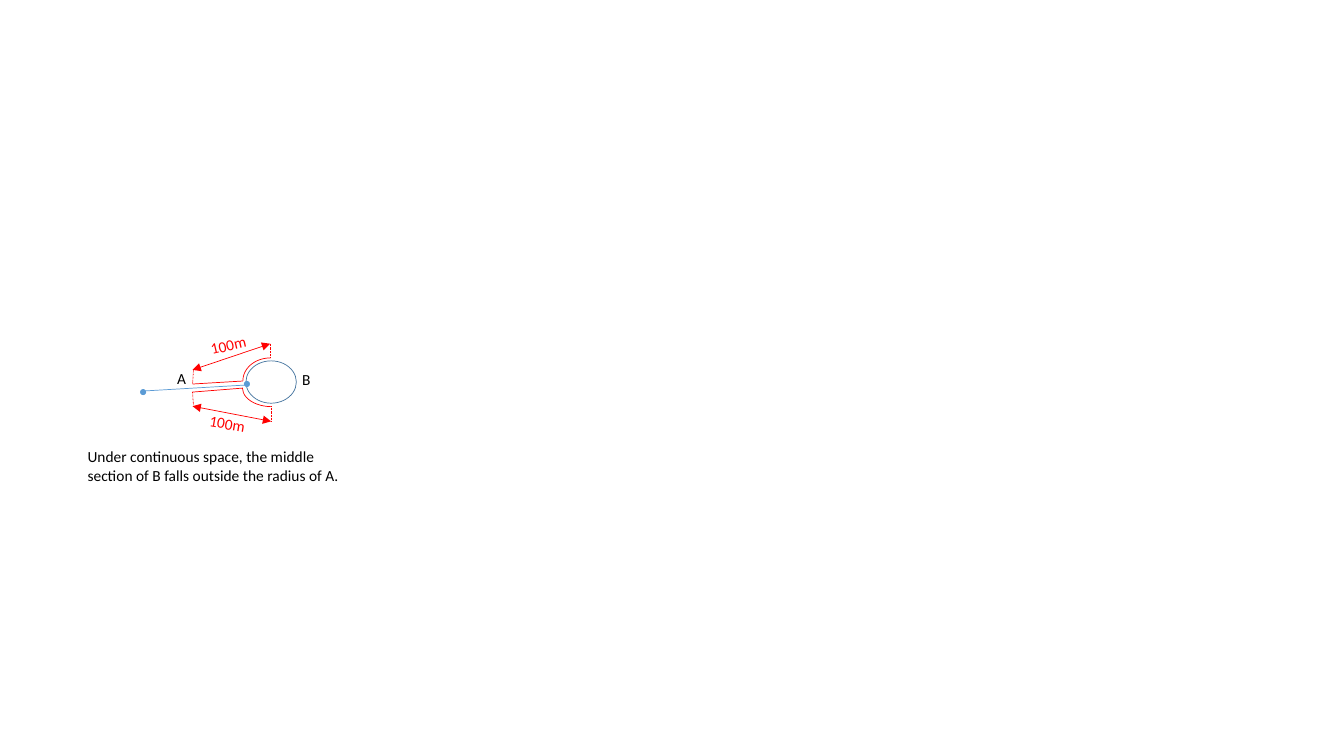
from typing import NamedTuple

from lxml import etree
from pptx import Presentation
from pptx import util as u
from pptx.dml.color import RGBColor
from pptx.enum import dml, shapes, text
from pptx.oxml.ns import qn

COLS, ROWS = 133.33, 75
CELL = u.Inches(0.1)
BLACK = RGBColor(0x00, 0x00, 0x00)
RED = RGBColor(0xFF, 0x00, 0x00)
BLUE = RGBColor(0x5B, 0x9B, 0xD5)
DARK_BLUE = RGBColor(0x43, 0x73, 0x9E)
FONT = "Calibri"
DOT = 0.6


class Line(NamedTuple):
    x1: float
    y1: float
    x2: float
    y2: float
    color: RGBColor = RED
    arrows: bool = False
    dotted: bool = False


class Arc(NamedTuple):
    col: float
    row: float
    width: float
    height: float
    rotation: float
    end: float
    flipped: bool


class Label(NamedTuple):
    words: str
    col: float
    row: float
    width: float
    height: float = 2.9
    color: RGBColor = BLACK
    rotation: float = 0
    wrap: bool = False


STREET = Line(14.1, 38.8, 24.4, 38.2, BLUE)
JUNCTIONS = [(24.5, 38.1), (14.2, 38.9)]
ARCS = [
    Arc(24.6, 35, 4.5, 5.5, 270, 0, False),
    Arc(25.1, 35.6, 3.7, 5.8, 90, 214.75, True),
]
RADIUS_LINES = [
    Line(24.1, 37.8, 19.1, 38.1),
    Line(24.1, 38.5, 19.1, 38.9),
    Line(19.1, 36.7, 26.8, 34.1, arrows=True),
    Line(19.1, 40.3, 26.9, 41.8, arrows=True),
    Line(26.8, 34.1, 26.8, 35.5, dotted=True),
    Line(26.9, 40.3, 26.9, 41.8, dotted=True),
    Line(19.1, 38.9, 19.2, 40.2, dotted=True),
    Line(19.2, 36.7, 19.1, 38.1, dotted=True),
]
LABELS = [
    Label("A", 16.6, 36.1, 2.9),
    Label("B", 29, 36.2, 2.9),
    Label("Under continuous space, the middle section of B falls outside the radius of A.",
          7.7, 43.9, 28.5, 4.7, wrap=True),
    Label("100m", 19.9, 32.8, 5.6, color=RED, rotation=347),
    Label("100m", 19.8, 40.6, 5.6, color=RED, rotation=9.5),
]


def grid(*lengths: float) -> list[int]:
    return [round(length * CELL) for length in lengths]


def add_line(s, line: Line) -> None:
    ends = grid(line.x1, line.y1, line.x2, line.y2)
    cxn = s.shapes.add_connector(shapes.MSO_CONNECTOR.STRAIGHT, *ends)
    cxn.line.color.rgb = line.color
    cxn.line.width = u.Pt(0.5)
    if line.dotted:
        cxn.line.dash_style = dml.MSO_LINE.ROUND_DOT
    if line.arrows:
        for tag in ("a:headEnd", "a:tailEnd"):
            etree.SubElement(cxn.line._get_or_add_ln(), qn(tag), type="triangle")
    etree.SubElement(cxn._element.spPr, qn("a:effectLst"))


def add_outline(s, kind: shapes.MSO_SHAPE, box: list[int], color: RGBColor):
    sp = s.shapes.add_shape(kind, *box)
    sp.shadow.inherit = False
    sp.fill.background()
    sp.line.color.rgb = color
    sp.line.width = u.Pt(0.5)
    return sp


def add_arc(s, arc: Arc) -> None:
    box = grid(arc.col, arc.row, arc.width, arc.height)
    sp = add_outline(s, shapes.MSO_SHAPE.ARC, box, RED)
    sp.adjustments[0] = 162
    sp.adjustments[1] = arc.end
    sp.rotation = arc.rotation
    if arc.flipped:
        sp._element.spPr.xfrm.set("flipV", "1")


def add_junction(s, x: float, y: float) -> None:
    box = grid(x - DOT / 2, y - DOT / 2, DOT, DOT)
    sp = s.shapes.add_shape(shapes.MSO_SHAPE.OVAL, *box)
    sp.shadow.inherit = False
    sp.fill.solid()
    sp.fill.fore_color.rgb = BLUE
    sp.line.fill.background()


def add_label(s, label: Label) -> None:
    sp = s.shapes.add_textbox(*grid(label.col, label.row, label.width, label.height))
    sp.rotation = label.rotation
    tf = sp.text_frame
    tf.text = label.words
    tf.word_wrap = label.wrap
    tf.auto_size = text.MSO_AUTO_SIZE.SHAPE_TO_FIT_TEXT
    r = tf.paragraphs[0].runs[0]
    r.font.name = FONT
    r.font.size = u.Pt(11)
    r.font.color.rgb = label.color


def main() -> None:
    prs = Presentation()
    prs.slide_width, prs.slide_height = grid(COLS, ROWS)
    s = prs.slides.add_slide(prs.slide_layouts[6])
    add_line(s, STREET)
    add_outline(s, shapes.MSO_SHAPE.OVAL, grid(24.4, 35.8, 5, 4.2), DARK_BLUE)
    for x, y in JUNCTIONS:
        add_junction(s, x, y)
    for arc in ARCS:
        add_arc(s, arc)
    for line in RADIUS_LINES:
        add_line(s, line)
    for label in LABELS:
        add_label(s, label)
    prs.save("out.pptx")


if __name__ == "__main__":
    main()
